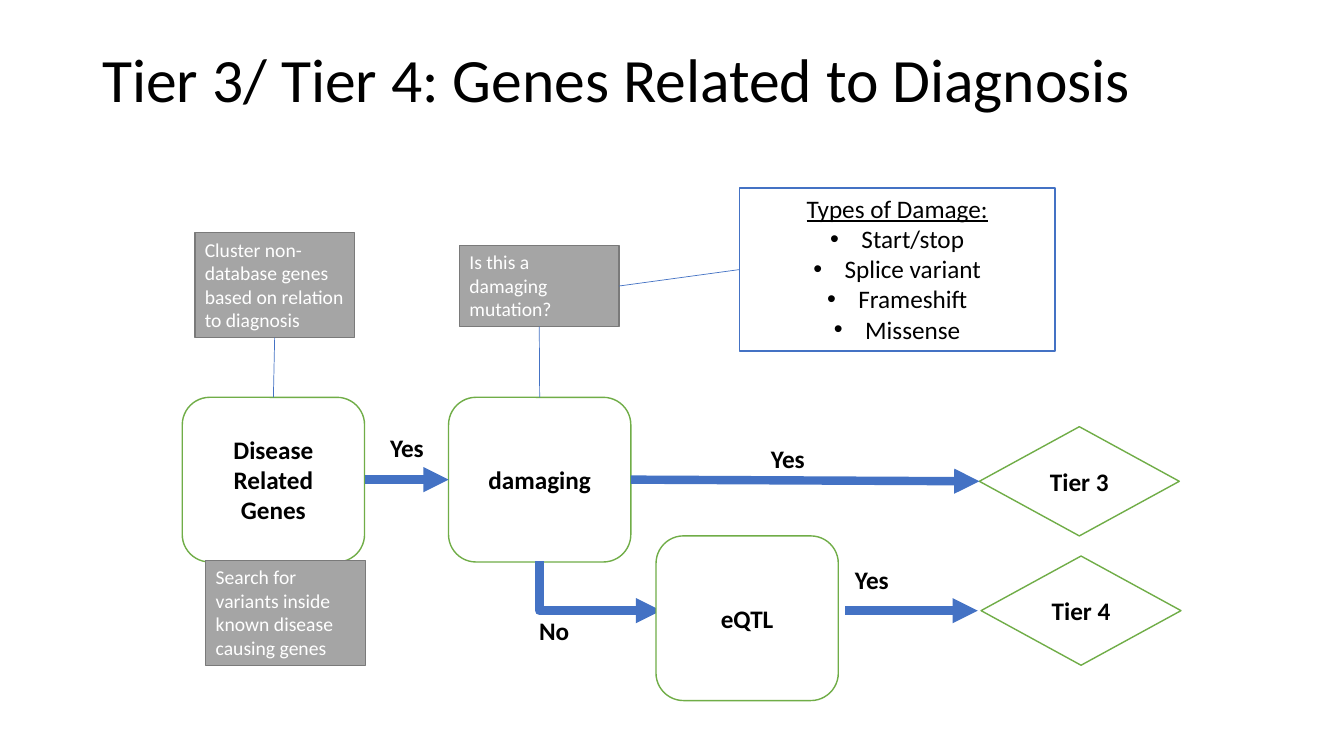
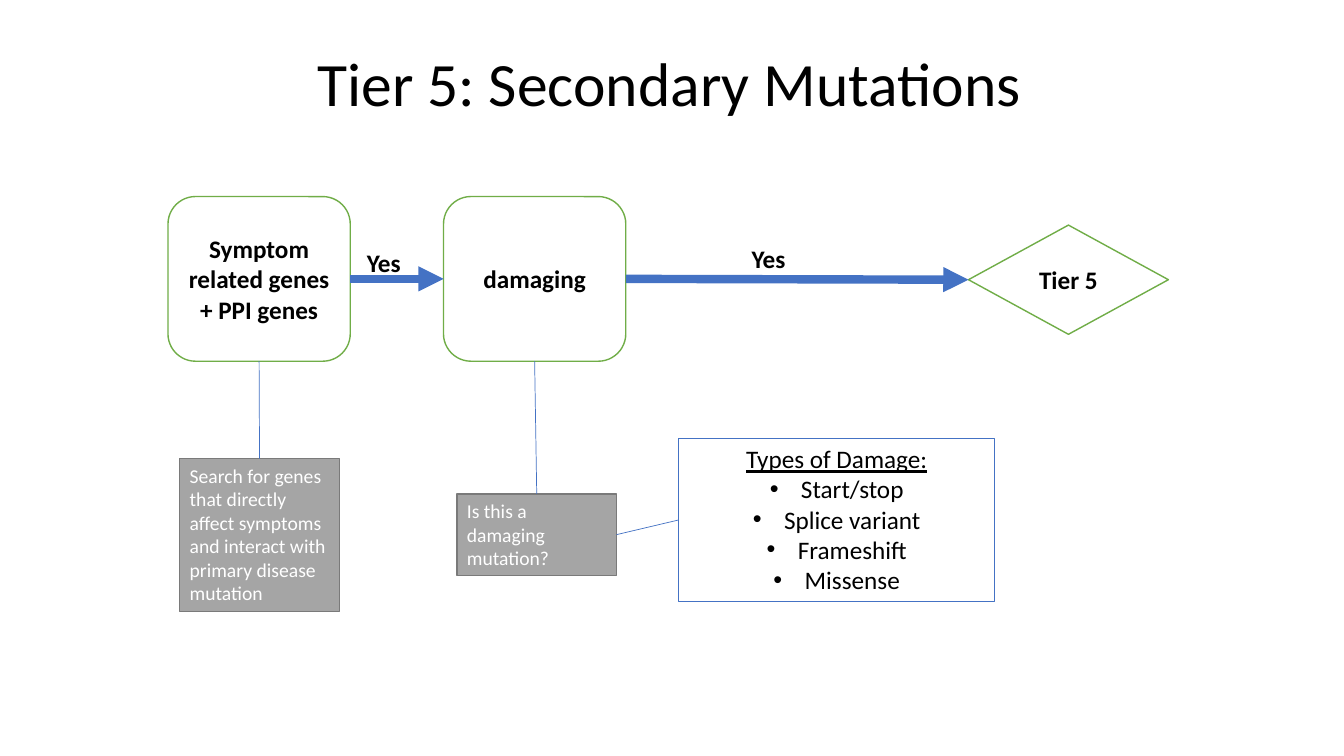
from lxml.etree import SubElement as sub
from pptx import Presentation
from pptx.dml.color import RGBColor as Rgb
from pptx.enum.shapes import MSO_CONNECTOR as Link, MSO_SHAPE as Kind
from pptx.enum.text import MSO_ANCHOR as Anchor, PP_ALIGN as Align
from pptx.oxml.ns import qn
from pptx.util import Inches, Pt

COLS, ROWS = 16, 9
WIDE, HIGH = Inches(40 / 3), Inches(7.5)
FONT = "Calibri"
INK = {"black": "000000", "white": "FFFFFF", "blue": "4472C4",
       "green": "70AD47", "gray": "A5A5A5", "edge": "7A7A7A"}
TOP, LEFT, LOW, RIGHT = range(4)  # connection sites of a shape
STEP = (2.17, 1.96)
TIER = (2.38, 1.3)
LIST = (3.76, 1.94)
NOTE = 1.9
LABEL = 0.48
DAMAGE = ["Start/stop", "Splice variant", "Frameshift", "Missense"]


def col(n):
    """Length of n grid columns."""
    return round(n * WIDE / COLS)


def row(n):
    """Length of n grid rows."""
    return round(n * HIGH / ROWS)


def tint(name):
    """Colour object for a named colour."""
    return Rgb.from_string(INK[name])


def write(shape, text, size=18, color="black", bold=False, align=Align.CENTER,
          anchor=Anchor.MIDDLE, space=None, head=None):
    """Fill a shape with text; a head makes the lines below it bullets."""
    frame = shape.text_frame
    frame.word_wrap = True
    frame.vertical_anchor = anchor
    lines = text.split("\n")
    if head:
        lines.insert(0, head)
    for i, line in enumerate(lines):
        para = frame.paragraphs[0] if i == 0 else frame.add_paragraph()
        para.alignment = align
        para.line_spacing = space
        run = para.add_run()
        run.text = line
        font = run.font
        font.name, font.size, font.bold = FONT, Pt(size), bold
        font.color.rgb = tint(color)
        if head and i == 0:
            font.underline = True
        elif head:
            dot(para)


def dot(para):
    """Give a paragraph a hanging bullet."""
    props = para._p.get_or_add_pPr()
    hang = Inches(0.31)
    props.set("marL", str(hang))
    props.set("indent", str(-hang))
    sub(props, qn("a:buFont")).set("typeface", "Arial")
    sub(props, qn("a:buChar")).set("char", "•")


def label(slide, text, x, y, w, h=LABEL, **form):
    """Add free text."""
    area = slide.shapes.add_textbox(col(x), row(y), col(w), row(h))
    write(area, text, **form)


def title(slide, text, x, y, w):
    """Add the slide title."""
    label(slide, text, x, y, w, 1.74, size=44, align=Align.LEFT, space=0.9)


def tag(slide, text, x, y, w, align=Align.CENTER):
    """Add a bold answer beside an arrow."""
    label(slide, text, x, y, w, bold=True, align=align, anchor=Anchor.TOP)


def box(slide, kind, x, y, size, fill, edge):
    """Add an outlined shape."""
    w, h = size
    shape = slide.shapes.add_shape(kind, col(x), row(y), col(w), row(h))
    shape.shadow.inherit = False
    shape.fill.solid()
    shape.fill.fore_color.rgb = tint(fill)
    shape.line.color.rgb = tint(edge)
    shape.line.width = Pt(1)
    return shape


def step(slide, text, x, y):
    """Add a rounded process step."""
    shape = box(slide, Kind.ROUNDED_RECTANGLE, x, y, STEP, "white", "green")
    write(shape, text, bold=True)
    return shape


def tier(slide, text, x, y):
    """Add a diamond that names a tier."""
    shape = box(slide, Kind.FLOWCHART_DECISION, x, y, TIER, "white", "green")
    write(shape, text, bold=True)
    return shape


def note(slide, text, x, y, h):
    """Add a gray remark."""
    shape = box(slide, Kind.RECTANGLE, x, y, (NOTE, h), "gray", "edge")
    write(shape, text, size=14, color="white", align=Align.LEFT,
          anchor=Anchor.TOP)
    return shape


def ask(slide, x, y, list_x, list_y):
    """Add the damage question, the list of types and the line between."""
    query = note(slide, "Is this a damaging mutation?", x, y, 0.97)
    types = box(slide, Kind.RECTANGLE, list_x, list_y, LIST, "white", "blue")
    write(types, "\n".join(DAMAGE), head="Types of Damage:", anchor=Anchor.TOP)
    join(slide, query, RIGHT, types, LEFT)
    return query


def ink(line, width, tip):
    """Style a connector and optionally end it in an arrowhead."""
    line.line.color.rgb = tint("blue")
    line.line.width = Pt(width)
    props = line.element.spPr
    if tip:
        sub(props.find(qn("a:ln")), qn("a:tailEnd")).set("type", "triangle")
    sub(props, qn("a:effectLst"))


def join(slide, start, out, end, into, width=0.5, tip=False):
    """Link two shapes with a straight line."""
    line = slide.shapes.add_connector(Link.STRAIGHT, 0, 0, 0, 0)
    line.begin_connect(start, out)
    line.end_connect(end, into)
    ink(line, width, tip)


def flow(slide, start, end):
    """Link two shapes, left to right, with a thick arrow."""
    join(slide, start, RIGHT, end, LEFT, width=6, tip=True)


def arrow(slide, x, y, end):
    """Draw a level thick arrow from column x to column end."""
    line = slide.shapes.add_connector(
        Link.STRAIGHT, col(x), row(y), col(end), row(y))
    ink(line, 6, True)


def bend(slide, x, y, right, low):
    """Draw a thick arrow that goes down, then right."""
    mid_x, mid_y = col(x + right) // 2, row(y + low) // 2
    half_w, half_h = row(low - y) // 2, col(right - x) // 2
    line = slide.shapes.add_connector(
        Link.ELBOW, mid_x + half_w, mid_y - half_h,
        mid_x - half_w, mid_y + half_h)
    props = line.element.spPr
    props.find(qn("a:xfrm")).set("rot", str(270 * 60000))
    props.find(qn("a:prstGeom")).set("prst", "bentConnector2")
    ink(line, 6, True)


def related(slide):
    """Build the slide on tiers 3 and 4."""
    title(slide, "Tier 3/ Tier 4: Genes Related to Diagnosis", 1.1, 0.11, 13.8)
    group = note(slide, "Cluster non-database genes based on relation "
                 "to diagnosis", 2.32, 2.77, 1.25)
    query = ask(slide, 5.47, 2.92, 8.8, 2.24)
    genes = step(slide, "Disease\nRelated Genes", 2.17, 4.73)
    harm = step(slide, "damaging", 5.34, 4.73)
    third = tier(slide, "Tier 3", 11.66, 5.08)
    tier(slide, "Tier 4", 11.68, 6.62)
    join(slide, group, LOW, genes, TOP)
    join(slide, query, LOW, harm, TOP)
    flow(slide, genes, harm)
    flow(slide, harm, third)
    bend(slide, 6.42, 6.68, 7.87, 7.27)
    note(slide, "Search for variants inside known disease causing genes",
         2.45, 6.67, 1.25)
    step(slide, "eQTL", 7.81, 6.38)
    arrow(slide, 10.06, 7.27, 11.64)
    tag(slide, "Yes", 4.22, 5.09, 1.25)
    tag(slide, "Yes", 7.87, 5.22, 3.02)
    tag(slide, "Yes", 10.06, 6.66, 1.69, Align.LEFT)
    tag(slide, "No", 6.3, 7.27, 1.69, Align.LEFT)


def second(slide):
    """Build the slide on tier 5."""
    title(slide, "Tier 5: Secondary Mutations", 3.66, 0.16, 8.68)
    genes = step(slide, "Symptom related genes + PPI genes", 2, 2.34)
    harm = step(slide, "damaging", 5.28, 2.34)
    fifth = tier(slide, "Tier 5", 11.53, 2.68)
    flow(slide, genes, harm)
    flow(slide, harm, fifth)
    tag(slide, "Yes", 4.25, 2.89, 0.7, Align.LEFT)
    tag(slide, "Yes", 7.64, 2.84, 3.02)
    hunt = note(slide, "Search for genes that directly affect symptoms and "
                "interact with primary disease mutation", 2.14, 5.46, 1.82)
    query = ask(slide, 5.44, 5.88, 8.08, 5.22)
    join(slide, genes, LOW, hunt, TOP)
    join(slide, harm, LOW, query, TOP)


def main():
    """Build and save the deck."""
    deck = Presentation()
    deck.slide_width, deck.slide_height = WIDE, HIGH
    for build in (related, second):
        build(deck.slides.add_slide(deck.slide_layouts[6]))
    deck.save("out.pptx")


main()
